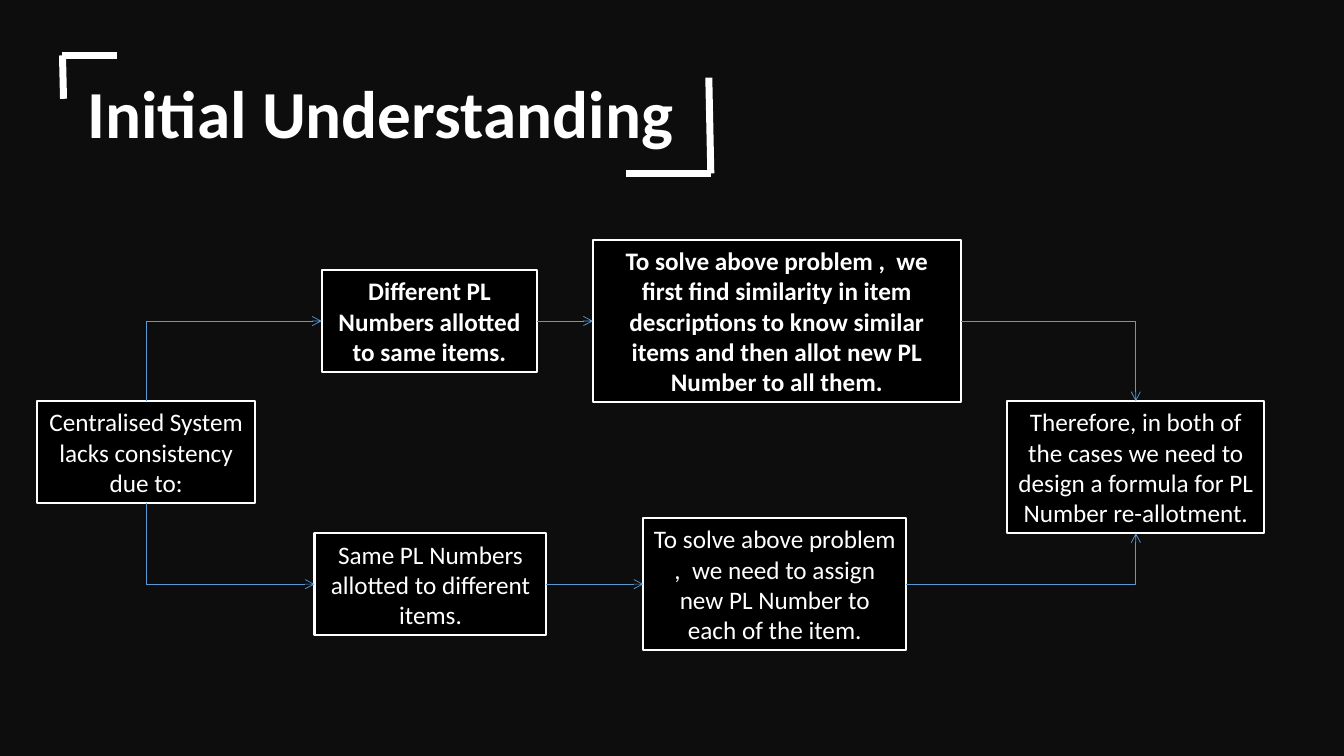
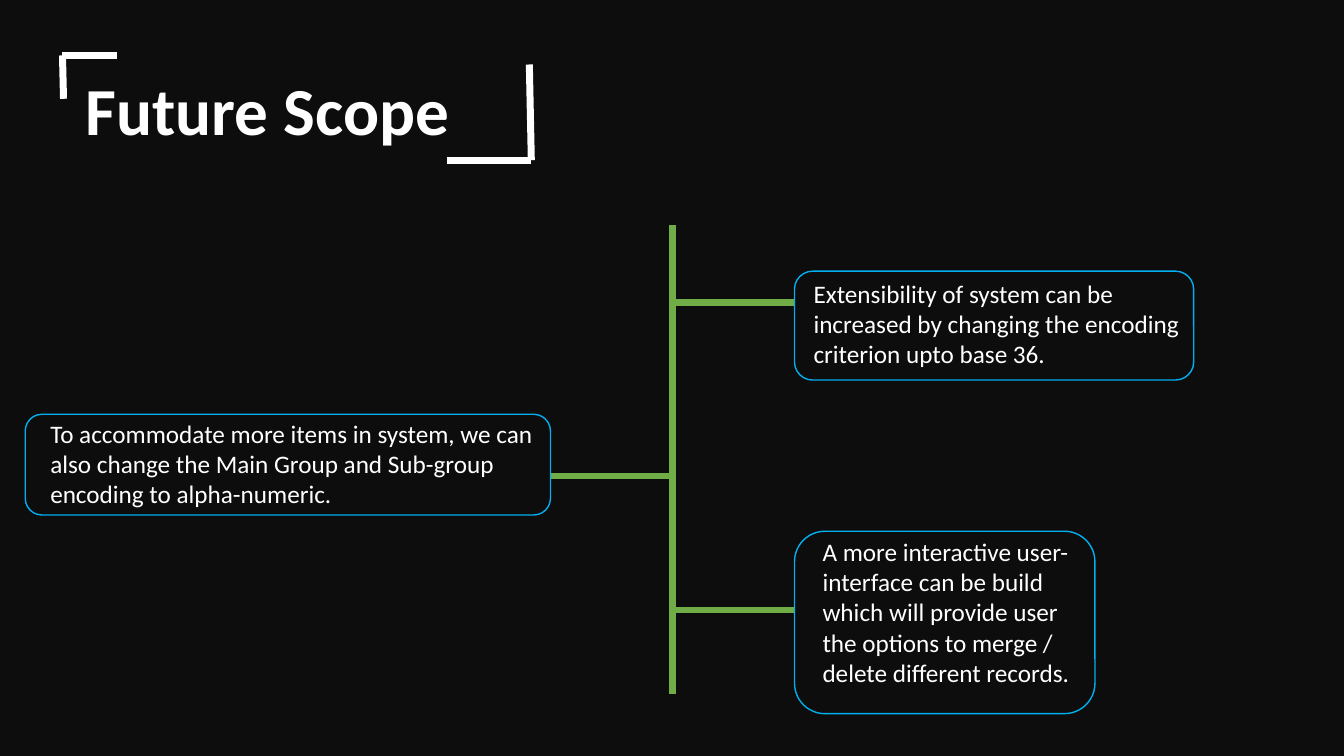
from lxml import etree
from pptx import Presentation
from pptx.dml.color import RGBColor
from pptx.enum.shapes import MSO_CONNECTOR, MSO_SHAPE
from pptx.enum.text import MSO_ANCHOR, MSO_AUTO_SIZE, PP_ALIGN
from pptx.oxml.ns import qn
from pptx.util import Inches, Pt

RECT, ROUND = MSO_SHAPE.RECTANGLE, MSO_SHAPE.ROUNDED_RECTANGLE
STRAIGHT, ELBOW = MSO_CONNECTOR.STRAIGHT, MSO_CONNECTOR.ELBOW
LEFT, CENTER = PP_ALIGN.LEFT, PP_ALIGN.CENTER
TOP, MIDDLE = MSO_ANCHOR.TOP, MSO_ANCHOR.MIDDLE
GROW = MSO_AUTO_SIZE.SHAPE_TO_FIT_TEXT

FONT = "Calibri"
COLORS = {"back": "0D0D0D", "text": "FFFFFF", "box": "000000",
          "arrow": "5B9BD5", "tree": "70AD47", "card": "00B0F0"}

# Connection sites of a rectangle
N, W, S, E = range(4)


def color(name):
    return RGBColor.from_string(COLORS[name])


def outline(shape, name, width):
    shape.line.color.rgb = color(name)
    shape.line.width = Pt(width)


def write(shape, text, size=18, bold=False, align=LEFT, anchor=TOP):
    frame = shape.text_frame
    frame.text = text
    frame.word_wrap = True
    frame.auto_size = GROW
    frame.vertical_anchor = anchor
    para = frame.paragraphs[0]
    para.alignment = align
    font = para.runs[0].font
    font.name, font.size, font.bold = FONT, Pt(size), bold
    font.color.rgb = color("text")


def label(slide, place, text, **style):
    write(slide.shapes.add_textbox(*map(Inches, place)), text, **style)


def link(slide, kind, start, end, name, width):
    line = slide.shapes.add_connector(kind, *map(Inches, start + end))
    outline(line, name, width)
    etree.SubElement(line._element.spPr, qn("a:effectLst"))
    return line


def rule(slide, start, end, name="text", width=5):
    link(slide, STRAIGHT, start, end, name, width)


# Shared slide: background, title and its corner brackets
def add_page(deck, title, place, corner):
    slide = deck.slides.add_slide(deck.slide_layouts[6])
    fill = slide.background.fill
    fill.solid()
    fill.fore_color.rgb = color("back")
    x, y = corner
    rule(slide, (x - 0.02, y - 0.95), (x, y))
    rule(slide, (x, y), (x - 0.84, y))
    rule(slide, (1.16, 0.55), (0.62, 0.55))
    rule(slide, (0.63, 0.98), (0.62, 0.55))
    label(slide, place, title, size=48, bold=True)
    return slide


# Flow chart parts
def add_box(slide, place, text, bold=False):
    box = slide.shapes.add_shape(RECT, *map(Inches, place))
    box.shadow.inherit = False
    box.fill.solid()
    box.fill.fore_color.rgb = color("box")
    outline(box, "text", 1.5)
    write(box, text, bold=bold, align=CENTER, anchor=MIDDLE)
    return box


def add_arrow(slide, source, out, target, into):
    bent = out in (N, S) or into in (N, S)
    line = link(slide, ELBOW if bent else STRAIGHT, (0, 0), (1, 1),
                "arrow", 0.5)
    line.begin_connect(source, out)
    line.end_connect(target, into)
    stroke = line.line._get_or_add_ln()
    etree.SubElement(stroke, qn("a:tailEnd"), type="arrow")
    if bent:
        line._element.spPr.find(qn("a:prstGeom")).set("prst", "bentConnector2")
    if out in (N, S):
        turn(line, out)


def turn(line, out):
    """Make a one-bend connector leave its source upright."""
    wide, high = line.width, line.height
    line.left += (wide - high) // 2
    line.top += (high - wide) // 2
    line.width, line.height = high, wide
    form = line._element.spPr.find(qn("a:xfrm"))
    form.set("rot", str((270 if out == N else 90) * 60000))
    form.set("flipH", "0")
    form.set("flipV", "1" if out == S else "0")


def add_flow(deck):
    slide = add_page(deck, "Initial Understanding",
                     (0.77, 0.66, 7.09, 0.91), (7.05, 1.72))
    cause = add_box(slide, (0.37, 3.98, 2.16, 1.01),
                    "Centralised System lacks consistency due to:")
    goal = add_box(slide, (9.99, 3.98, 2.55, 1.31),
                   "Therefore, in both of the cases we need to design a "
                   "formula for PL Number re-allotment.")
    rows = [
        (N, True, (3.19, 2.68, 2.14, 1.01),
         "Different PL Numbers allotted to same items.",
         (5.88, 2.38, 3.65, 1.61),
         "To solve above problem ,  we first find similarity in item "
         "descriptions to know similar items and then allot new PL Number "
         "to all them."),
        (S, False, (3.12, 5.29, 2.3, 1.01),
         "Same PL Numbers allotted to different items.",
         (6.38, 5.14, 2.61, 1.31),
         "To solve above problem ,  we need to assign new PL Number to "
         "each of the item."),
    ]
    for side, bold, spot, issue, place, answer in rows:
        first = add_box(slide, spot, issue, bold)
        second = add_box(slide, place, answer, bold)
        add_arrow(slide, cause, side, first, W)
        add_arrow(slide, first, E, second, W)
        add_arrow(slide, second, E, goal, side)


# Tree of cards
def add_card(slide, place, spot, text):
    card = slide.shapes.add_shape(ROUND, *map(Inches, place))
    card.shadow.inherit = False
    card.fill.background()
    outline(card, "card", 1)
    label(slide, spot, text)


def add_tree(deck):
    slide = add_page(deck, "Future Scope",
                     (0.75, 0.63, 10.73, 0.91), (5.27, 1.59))
    trunk = 6.67
    rule(slide, (trunk, 2.23), (trunk, 6.89), "tree", 4.5)
    cards = [
        (7.88, 3, (7.88, 2.69, 3.96, 1.08), (7.97, 2.71, 3.88, 1.01),
         "Extensibility of system can be increased by changing the encoding "
         "criterion upto base 36."),
        (5.45, 4.72, (0.25, 4.11, 5.21, 1), (0.4, 4.1, 5.05, 1.01),
         "To accommodate more items in system, we can also change the Main "
         "Group and Sub-group encoding to alpha-numeric."),
        (7.88, 6.05, (7.88, 5.27, 2.98, 1.81), (8.06, 5.27, 2.77, 1.62),
         "A more interactive user-interface can be build which will provide "
         "user the options to merge / delete different records."),
    ]
    for x, y, place, spot, text in cards:
        rule(slide, (trunk, y), (x, y), "tree", 4.5)
        add_card(slide, place, spot, text)


def main():
    deck = Presentation()
    deck.slide_width, deck.slide_height = Inches(13.33), Inches(7.5)
    add_flow(deck)
    add_tree(deck)
    deck.save("out.pptx")


if __name__ == "__main__":
    main()
